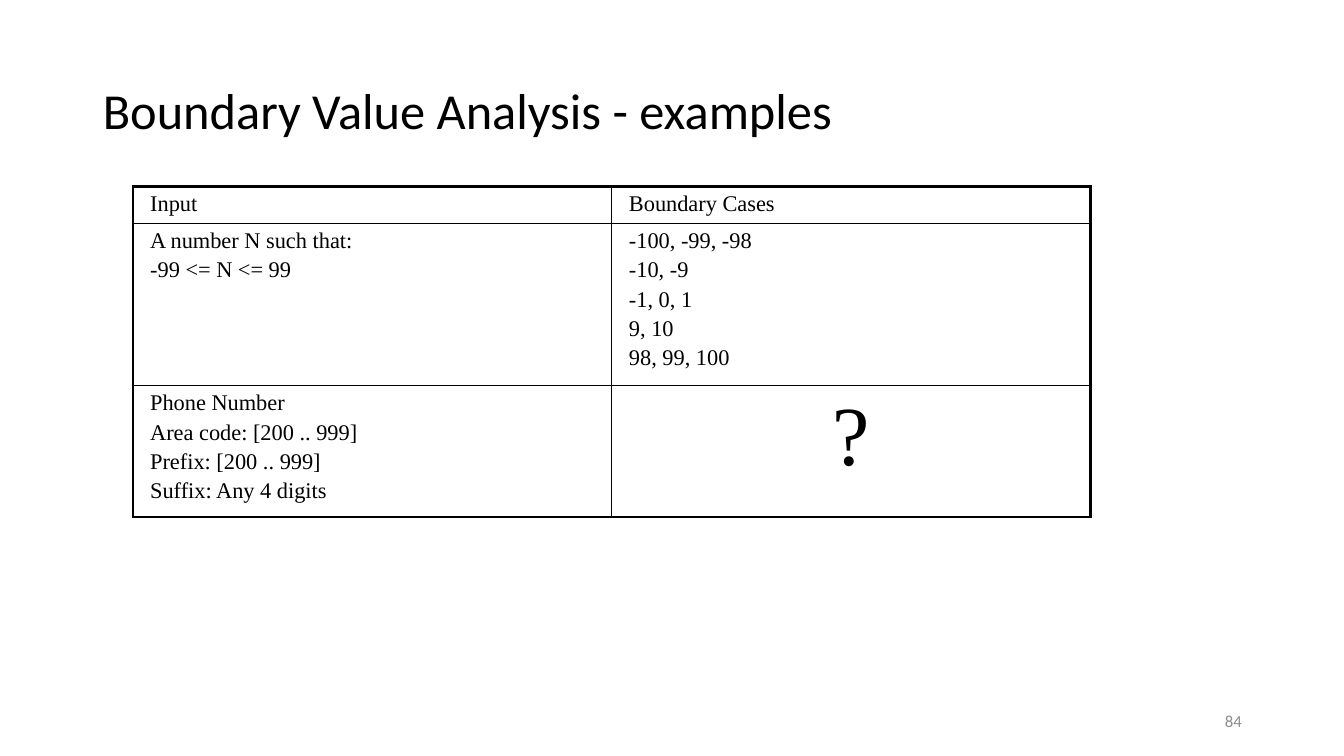
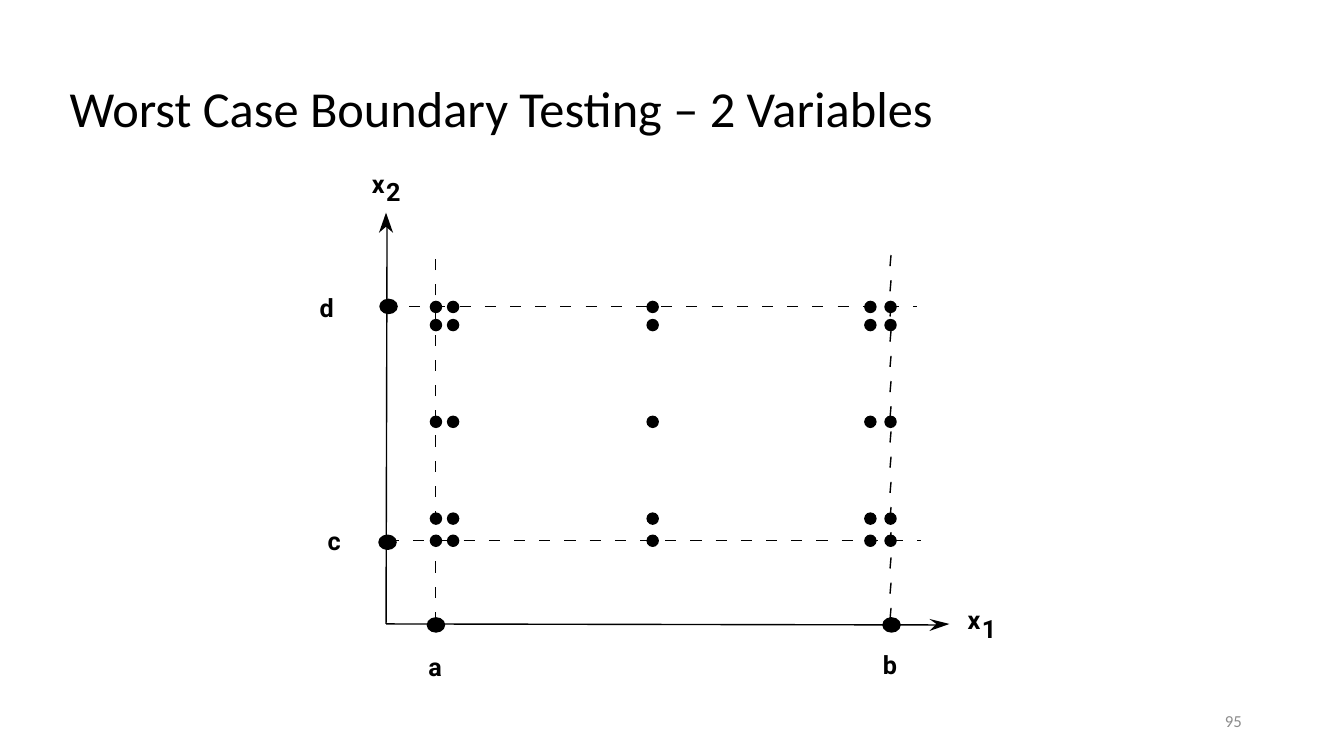
"""Build two slides on boundary value analysis and worst case boundary testing."""
from dataclasses import dataclass

from lxml import etree
from pptx import Presentation
from pptx import util as u
from pptx.dml.color import RGBColor
from pptx.enum import shapes, text
from pptx.oxml import ns


@dataclass(frozen=True)
class Theme:
    ink: RGBColor = RGBColor(0x00, 0x00, 0x00)
    muted: RGBColor = RGBColor(0x8C, 0x8C, 0x8C)
    heading_font: str = "Calibri"
    table_font: str = "Times New Roman"
    label_font: str = "Roboto"
    heading_size: int = 36
    table_size: int = 16
    question_size: int = 60
    label_size: int = 18
    number_size: int = 12
    thin: float = 1
    thick: float = 2.25


theme = Theme()


def write(frame, content, font, size, color=theme.ink, bold=False,
          align=text.PP_ALIGN.LEFT, anchor=None, spacing=None, gap=0,
          margins=None, wrap=True):
    frame.word_wrap = wrap
    if anchor is not None:
        frame.vertical_anchor = anchor
    if margins is not None:
        frame.margin_left = frame.margin_right = u.Inches(margins)
        frame.margin_top = frame.margin_bottom = u.Inches(margins)
    for index, line in enumerate(content.split("\n")):
        paragraph = frame.add_paragraph() if index else frame.paragraphs[0]
        paragraph.alignment = align
        if spacing:
            paragraph.line_spacing = spacing
        if index and gap:
            paragraph.space_before = u.Pt(gap)
        run = paragraph.add_run()
        run.text = line
        run.font.name = font
        run.font.size = u.Pt(size)
        run.font.bold = bold
        run.font.color.rgb = color


def paint(shape):
    shape.shadow.inherit = False
    shape.fill.solid()
    shape.fill.fore_color.rgb = theme.ink
    shape.line.color.rgb = theme.ink
    shape.line.width = u.Pt(theme.thin)


deck = Presentation()
deck.slide_width, deck.slide_height = u.Inches(40 / 3), u.Inches(7.5)
slides = []
for heading, place, number in (
    ("Boundary Value Analysis - examples", (0.92, 0.4, 11.5, 1.45), "84"),
    ("Worst Case Boundary Testing – 2 Variables", (0.59, 0.53, 10.73, 1.15), "95"),
):
    slide = deck.slides.add_slide(deck.slide_layouts[5])
    title = slide.shapes.title
    title.left, title.top, title.width, title.height = map(u.Inches, place)
    write(title.text_frame, heading, theme.heading_font, theme.heading_size,
          anchor=text.MSO_ANCHOR.MIDDLE, spacing=0.9)
    page = slide.shapes.add_textbox(*map(u.Inches, (9.42, 6.95, 3, 0.4)))
    write(page.text_frame, number, theme.heading_font, theme.number_size,
          color=theme.muted, align=text.PP_ALIGN.RIGHT,
          anchor=text.MSO_ANCHOR.MIDDLE)
    slides.append(slide)
examples, worst_case = slides

cases = (
    ("Input", "Boundary Cases"),
    ("A number N such that:\n-99 <= N <= 99",
     "-100, -99, -98\n-10, -9\n-1, 0, 1\n9, 10\n98, 99, 100"),
    ("Phone Number\nArea code: [200 .. 999]\nPrefix: [200 .. 999]\nSuffix: Any 4 digits",
     "?"),
)
row_heights = (0.33, 1.12, 1.12)
grid = examples.shapes.add_table(
    len(cases), 2, *map(u.Inches, (1.32, 1.85, 9.5, sum(row_heights)))).table
grid.first_row = grid.horz_banding = False
for row, (height, entries) in enumerate(zip(row_heights, cases)):
    grid.rows[row].height = u.Inches(height)
    for column, entry in enumerate(entries):
        cell = grid.cell(row, column)
        cell.margin_left = cell.margin_right = u.Inches(0.17)
        cell.margin_top = cell.margin_bottom = u.Inches(0.05)
        question = entry == "?"
        write(cell.text_frame, entry, theme.table_font,
              theme.question_size if question else theme.table_size, gap=3.2,
              align=text.PP_ALIGN.CENTER if question else text.PP_ALIGN.LEFT)
        outer_edges = {"L": column == 0, "R": column == 1,
                       "T": row == 0, "B": row == len(cases) - 1}
        properties = cell._tc.get_or_add_tcPr()
        for side, outer in outer_edges.items():
            weight = u.Pt(theme.thick if outer else theme.thin)
            border = etree.SubElement(properties, ns.qn(f"a:ln{side}"), w=str(int(weight)))
            fill = etree.SubElement(border, ns.qn("a:solidFill"))
            etree.SubElement(fill, ns.qn("a:srgbClr"), val=str(theme.ink))
        cell.fill.background()

dash, pitch = 0.11, 0.25
rules = [(3.83, 6.19, 9.29, 6.2), (3.83, 6.19, 3.84, 2.25)]
for left, bottom, lean in ((4.32, 6.18, 0), (8.83, 6.14, 0.01)):
    for step in range(15):
        start = bottom - step * pitch
        rules.append((left, start, left + lean, start - dash))
for left, right, level in ((3.85, 9.14, 5.36), (3.81, 9.1, 3.04)):
    for step in range(22):
        start = left + step * pitch
        rules.append((start, level, min(start + dash, right), level))
for ends in rules:
    rule = worst_case.shapes.add_connector(
        shapes.MSO_CONNECTOR.STRAIGHT, *map(u.Inches, ends))
    rule.line.color.rgb = theme.ink
    rule.line.width = u.Pt(theme.thin)
    etree.SubElement(rule._element.spPr, ns.qn("a:effectLst"))

for tip, *barbs in (
    ((9.42, 6.19), (9.22, 6.26), (9.29, 6.19), (9.22, 6.14)),
    ((3.83, 2.11), (3.9, 2.31), (3.83, 2.25), (3.76, 2.31)),
):
    builder = worst_case.shapes.build_freeform(*map(u.Inches, tip))
    builder.add_line_segments([tuple(map(u.Inches, barb)) for barb in barbs])
    arrowhead = builder.convert_to_shape()
    paint(arrowhead)
    arrowhead.line.fill.background()

axis_marks = [(left, top, 0.17, 0.14) for left, top in (
    (4.24, 6.13), (8.76, 6.13), (3.76, 5.31), (3.77, 2.97))]
test_points = [(left, top, 0.11, 0.11)
               for left in (4.27, 4.44, 6.42, 8.58, 8.78)
               for top in (2.99, 3.17, 4.13, 5.09, 5.31)]
for place in axis_marks + test_points:
    dot = worst_case.shapes.add_shape(shapes.MSO_SHAPE.OVAL, *map(u.Inches, place))
    paint(dot)

for letter, left, top in (
    ("a", 4.25, 6.46), ("b", 8.76, 6.44), ("c", 3.25, 5.21), ("d", 3.17, 2.9),
    ("x", 3.69, 1.67), ("2", 3.83, 1.75), ("x", 9.6, 6), ("1", 9.74, 6.08),
):
    label = worst_case.shapes.add_textbox(*map(u.Inches, (left, top, 0.15, 0.3)))
    write(label.text_frame, letter, theme.label_font, theme.label_size,
          bold=True, margins=0, wrap=False)

deck.save("out.pptx")
